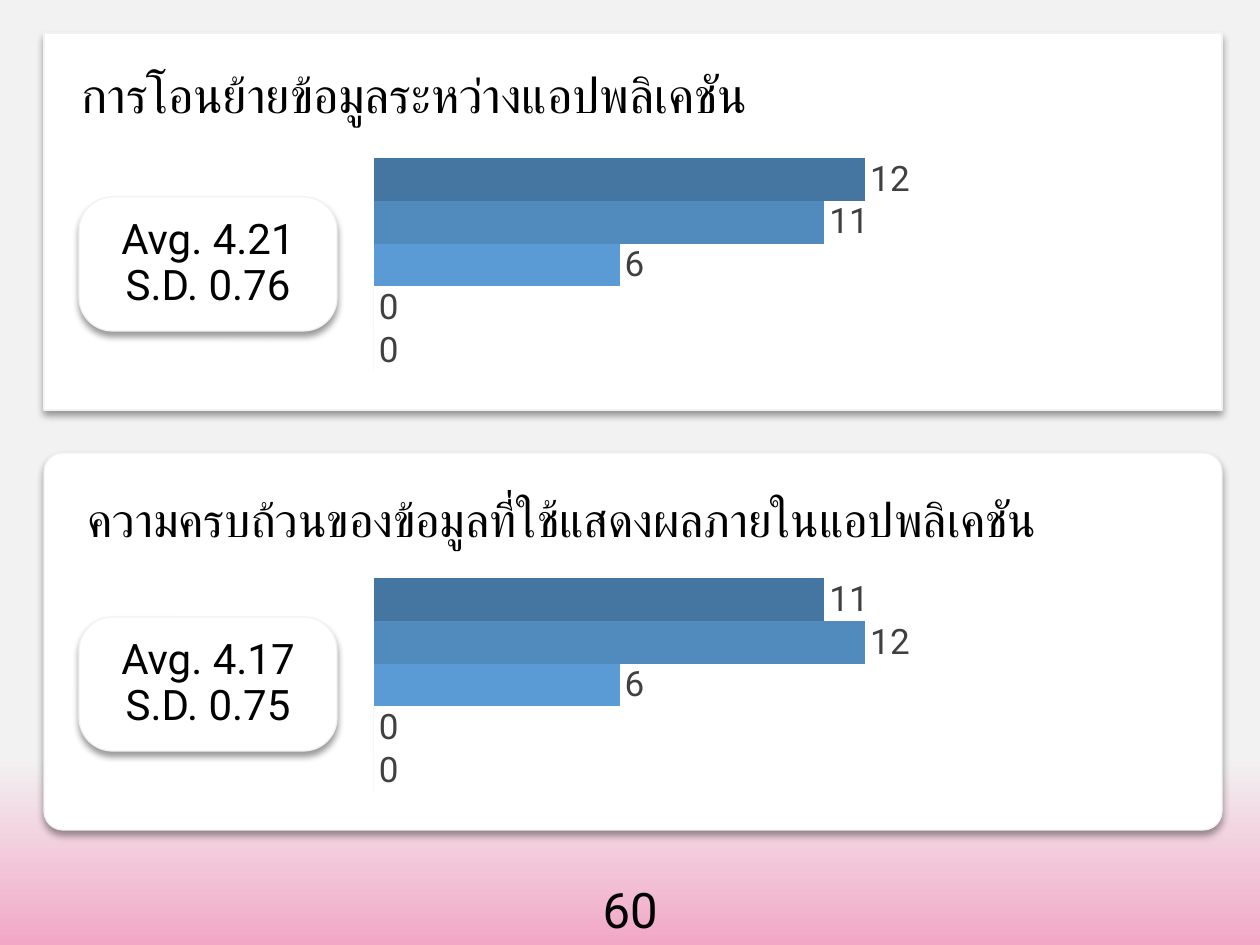
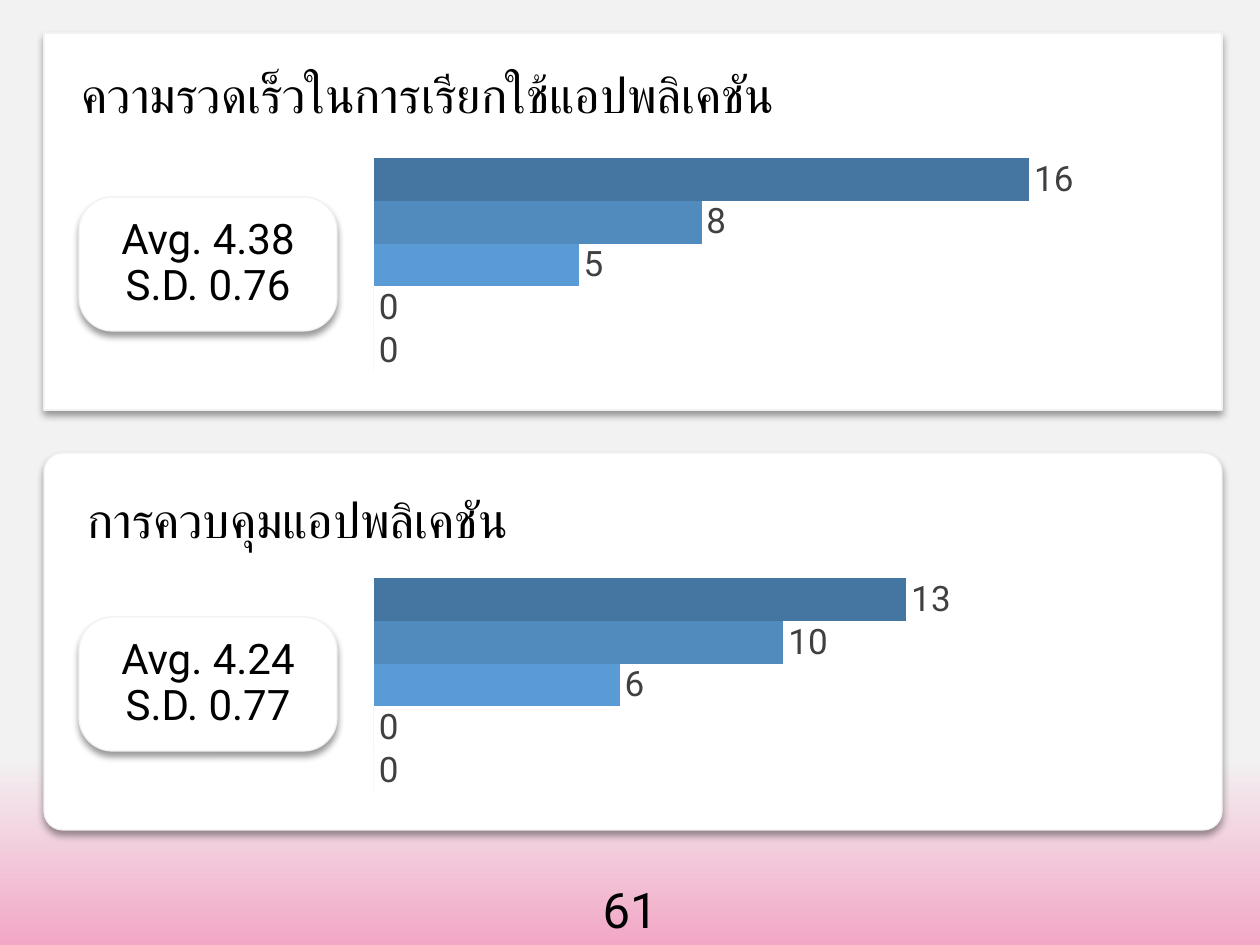
from lxml import etree
from pptx import Presentation
from pptx.chart.data import CategoryChartData
from pptx.dml.color import RGBColor
from pptx.enum.chart import XL_CHART_TYPE, XL_LABEL_POSITION
from pptx.enum.shapes import MSO_SHAPE
from pptx.enum.text import MSO_ANCHOR, PP_ALIGN
from pptx.oxml import parse_xml
from pptx.oxml.ns import nsdecls, qn
from pptx.util import Pt

PX = 914400 / 126
FONT = "Roboto"
COLORS = {
    "text": "000000",
    "label": "404040",
    "card": "FFFFFF",
    "paper": "F2F2F2",
    "pink": "F2A7C6",
}
BAR_COLORS = ["BED1EA", "98B8E0", "5B9BD5", "518ABD", "4576A2"]

RECT = MSO_SHAPE.RECTANGLE
ROUND = MSO_SHAPE.ROUNDED_RECTANGLE
LEFT, CENTER = PP_ALIGN.LEFT, PP_ALIGN.CENTER
TOP, MIDDLE = MSO_ANCHOR.TOP, MSO_ANCHOR.MIDDLE
BAR = XL_CHART_TYPE.BAR_CLUSTERED
OUTSIDE = XL_LABEL_POSITION.OUTSIDE_END

CARD = (44, 33, 1178, 377)
CARD_PITCH = 420
PAGE_NUMBER = (546, 873, 168, 72)

SLIDES = [
    (60, [
        ("การโอนย้ายข้อมูลระหว่างแอปพลิเคชัน", 28, "4.21", "0.76", [0, 0, 6, 11, 12]),
        ("ความครบถ้วนของข้อมูลที่ใช้แสดงผลภายในแอปพลิเคชัน", 27, "4.17", "0.75",
         [0, 0, 6, 12, 11]),
    ]),
    (61, [
        ("ความรวดเร็วในการเรียกใช้แอปพลิเคชัน", 28, "4.38", "0.76", [0, 0, 5, 8, 16]),
        ("การควบคุมแอปพลิเคชัน", 28, "4.24", "0.77", [0, 0, 6, 10, 13]),
    ]),
]


def px(n):
    """Turn pixels into EMU."""
    return round(n * PX)


def rgb(name):
    """Look up a named colour."""
    return RGBColor.from_string(COLORS[name])


def write(sp, lines, size, align, anchor=TOP, spacing=None, inset=None):
    """Write lines as one paragraph with line breaks."""
    tf = sp.text_frame
    tf.word_wrap = True
    tf.vertical_anchor = anchor
    if inset is not None:
        tf.margin_left = tf.margin_right = tf.margin_top = tf.margin_bottom = px(inset)
    p = tf.paragraphs[0]
    p.alignment = align
    if spacing:
        p.line_spacing = spacing
    for i, line in enumerate(lines):
        if i:
            p.add_line_break()
        r = p.add_run()
        r.text = line
        r.font.name = FONT
        r.font.size = Pt(size)
        r.font.color.rgb = rgb("text")
        etree.SubElement(r.font._element, qn("a:cs"), typeface=FONT)


def add_panel(s, shape, box, corner):
    """Add a white panel with a soft shadow below it."""
    sp = s.shapes.add_shape(shape, *map(px, box))
    if shape == ROUND:
        sp.adjustments[0] = corner
    sp.fill.solid()
    sp.fill.fore_color.rgb = rgb("card")
    sp.line.color.rgb = rgb("paper")
    sp.line.width = Pt(0.75)
    sp.shadow.inherit = False
    effects = sp._element.spPr.find(qn("a:effectLst"))
    effects.append(parse_xml(
        f'<a:outerShdw {nsdecls("a")} blurRad="{Pt(4)}" dist="{Pt(3)}" dir="5400000" '
        'algn="t" rotWithShape="0"><a:srgbClr val="000000"><a:alpha val="40000"/>'
        '</a:srgbClr></a:outerShdw>'))
    return sp


def add_bars(s, box, values):
    """Add a bar chart with one bar for each score."""
    data = CategoryChartData()
    data.categories = ["1"]
    for i, value in enumerate(values, 1):
        data.add_series(f"Series {i}", [value])
    chart = s.shapes.add_chart(BAR, *map(px, box), data).chart
    chart.has_legend = chart.has_title = False
    chart.font.name = FONT
    chart.font.size = Pt(20)
    chart.font.color.rgb = rgb("text")
    for axis in (chart.category_axis, chart.value_axis):
        axis.visible = False
        axis.has_major_gridlines = False
    chart.value_axis.minimum_scale = 0
    chart.value_axis.maximum_scale = 20
    plot = chart.plots[0]
    plot.gap_width = 179
    plot.vary_by_categories = False
    for series, color in zip(plot.series, BAR_COLORS):
        series.format.fill.solid()
        series.format.fill.fore_color.rgb = RGBColor.from_string(color)
        labels = series.data_labels
        labels.show_value = True
        labels.position = OUTSIDE
        labels.font.name = FONT
        labels.font.size = Pt(20)
        labels.font.color.rgb = rgb("label")
    fill_plot_area(chart)


def fill_plot_area(chart):
    """Stretch the plot over the whole chart."""
    area = chart._chartSpace.chart.plotArea
    for old in area.findall(qn("c:layout")):
        area.remove(old)
    layout = etree.Element(qn("c:layout"))
    manual = etree.SubElement(layout, qn("c:manualLayout"))
    for tag, val in [("layoutTarget", "inner"), ("xMode", "edge"), ("yMode", "edge"),
                     ("x", "0"), ("y", "0"), ("w", "1"), ("h", "1")]:
        etree.SubElement(manual, qn(f"c:{tag}"), val=val)
    area.insert(0, layout)


def add_card(s, shape, box, title, size, avg, sd, values):
    """Add a question card with its title, statistics and bars."""
    x, y, _, _ = box
    card = add_panel(s, shape, box, 0.05)
    write(card, [title], size, LEFT, spacing=0.9, inset=38)
    badge = add_panel(s, ROUND, (x + 35, y + 164, 258, 134), 0.25)
    write(badge, [f"Avg. {avg}", f"S.D. {sd}"], 24, CENTER, MIDDLE, 0.9, 0)
    add_bars(s, (x + 330, y + 87, 819, 290), values)


def paint_background(s):
    """Fade the background to pink at the bottom."""
    fill = s.background.fill
    fill.gradient()
    fill.gradient_angle = 270
    for stop, position, name in zip(fill.gradient_stops, (0.8, 1), ("paper", "pink")):
        stop.position = position
        stop.color.rgb = rgb(name)


def add_result_slide(prs, number, cards):
    """Add a slide with a page number and two stacked cards."""
    s = prs.slides.add_slide(prs.slide_layouts[6])
    paint_background(s)
    write(s.shapes.add_textbox(*map(px, PAGE_NUMBER)), [str(number)], 28, CENTER)
    x, y, w, h = CARD
    for i, (shape, card) in enumerate(zip((RECT, ROUND), cards)):
        add_card(s, shape, (x, y + i * CARD_PITCH, w, h), *card)


def main():
    """Build and save the presentation."""
    prs = Presentation()
    prs.slide_width, prs.slide_height = px(1260), px(945)
    for number, cards in SLIDES:
        add_result_slide(prs, number, cards)
    prs.save("out.pptx")


if __name__ == "__main__":
    main()
